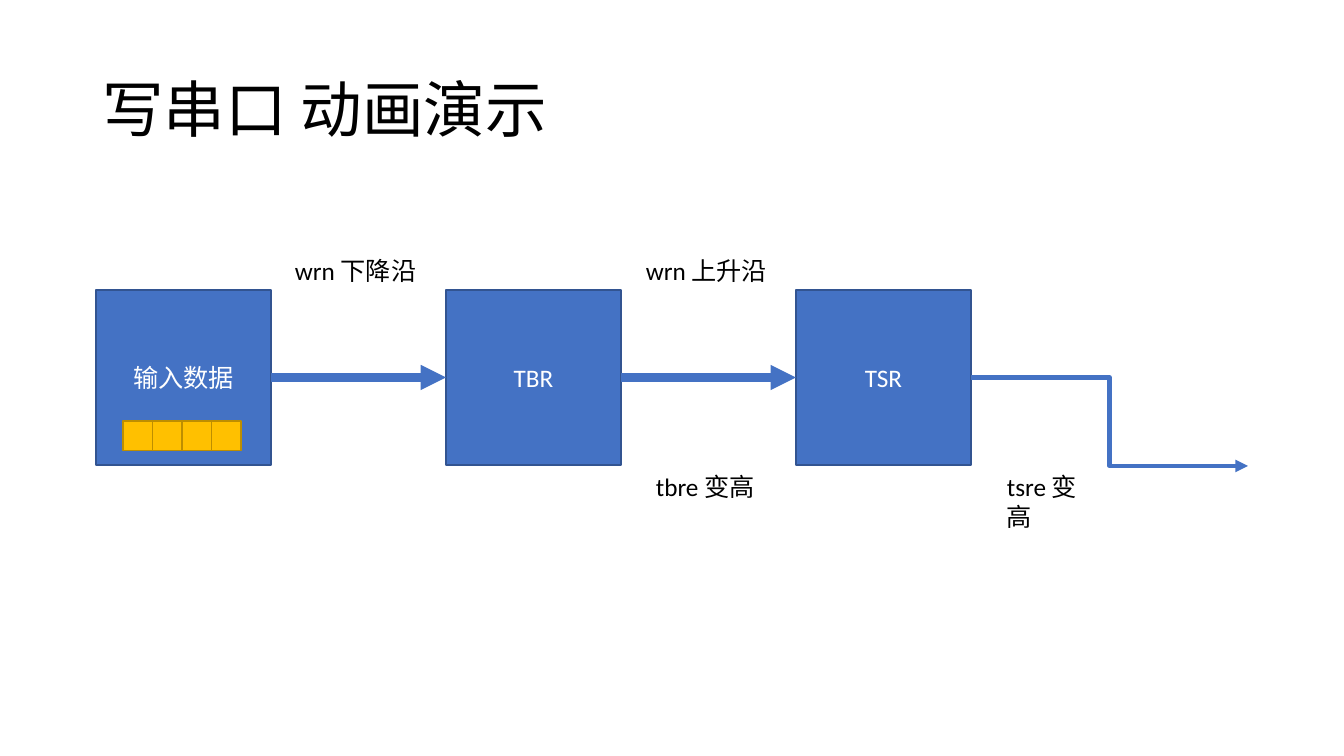
from dataclasses import dataclass

from lxml import etree
from pptx import Presentation
from pptx.dml.color import RGBColor
from pptx.enum.shapes import MSO_CONNECTOR, MSO_SHAPE
from pptx.enum.text import MSO_ANCHOR, PP_ALIGN
from pptx.oxml.ns import qn
from pptx.util import Pt

RECTANGLE = MSO_SHAPE.RECTANGLE
STRAIGHT, ELBOW = MSO_CONNECTOR.STRAIGHT, MSO_CONNECTOR.ELBOW
MIDDLE, LEFT, CENTER = MSO_ANCHOR.MIDDLE, PP_ALIGN.LEFT, PP_ALIGN.CENTER
LEFT_SITE, RIGHT_SITE = 1, 3


@dataclass(frozen=True)
class Theme:
    font: str = "Calibri"
    title_size: int = 44
    body_size: int = 18
    text: str = "000000"
    box_text: str = "FFFFFF"
    box: str = "4472C4"
    box_edge: str = "325491"
    bit: str = "FFC000"
    bit_edge: str = "BD8E00"


THEME = Theme()


def px(*lengths):
    """Turn pixels (100.8 to the inch) into EMU."""
    return [round(length * 914400 / 100.8) for length in lengths]


def write(shape, text, size, color, align):
    paragraph = shape.text_frame.paragraphs[0]
    paragraph.text = text
    paragraph.alignment = align
    font = paragraph.runs[0].font
    font.name, font.size = THEME.font, Pt(size)
    font.color.rgb = RGBColor.from_string(color)
    return paragraph


prs = Presentation()
prs.slide_width, prs.slide_height = px(1344, 756)
slide = prs.slides.add_slide(prs.slide_layouts[5])
shapes = slide.shapes

# Title
title = shapes.title
title.left, title.top, title.width, title.height = px(92, 40, 1159, 146)
title.text_frame.vertical_anchor = MIDDLE
heading = write(title, "写串口 动画演示", THEME.title_size, THEME.text, LEFT)
heading.line_spacing = 0.9

# Registers in a row, then the data bits inside the first one
REGISTER, REGISTER_STEP = 175, 350
ROW_LEFT, ROW_TOP = 96, 290
BIT = 29.5
stages = ["输入数据", "TBR", "TSR"]
squares = [(ROW_LEFT + i * REGISTER_STEP, ROW_TOP, REGISTER, THEME.box, THEME.box_edge, stage)
           for i, stage in enumerate(stages)]
squares += [(123 + i * BIT, 421, BIT, THEME.bit, THEME.bit_edge, "") for i in range(4)]

registers = []
for left, top, side, fill, edge, stage in squares:
    square = shapes.add_shape(RECTANGLE, *px(left, top, side, side))
    square.shadow.inherit = False
    square.fill.solid()
    square.fill.fore_color.rgb = RGBColor.from_string(fill)
    square.line.color.rgb = RGBColor.from_string(edge)
    square.line.width = Pt(1)
    if stage:
        square.text_frame.vertical_anchor = MIDDLE
        write(square, stage, THEME.body_size, THEME.box_text, CENTER)
        registers.append(square)

# Arrows between registers and out to the serial line
source, tbr, tsr = registers
for kind, start, target, weight in [
    (STRAIGHT, source, tbr, 6),
    (STRAIGHT, tbr, tsr, 6),
    (ELBOW, tsr, None, 3),
]:
    arrow = shapes.add_connector(kind, *px(972, 378, 1248, 466))
    arrow.begin_connect(start, RIGHT_SITE)
    if target is not None:
        arrow.end_connect(target, LEFT_SITE)
    arrow.line.color.rgb = RGBColor.from_string(THEME.box)
    arrow.line.width = Pt(weight)
    etree.SubElement(arrow.line._get_or_add_ln(), qn("a:tailEnd"), type="triangle")
    etree.SubElement(arrow._element.spPr, qn("a:effectLst"))

# Signal labels above and below the arrows
for signal, left, top, width in [
    ("wrn 下降沿", 285, 250, 152),
    ("wrn 上升沿", 636, 250, 142),
    ("tbre 变高", 646, 466, 120),
    ("tsre 变高", 997, 466, 115),
]:
    label = shapes.add_textbox(*px(left, top, width, 40))
    label.text_frame.word_wrap = True
    write(label, signal, THEME.body_size, THEME.text, LEFT)

prs.save("out.pptx")
